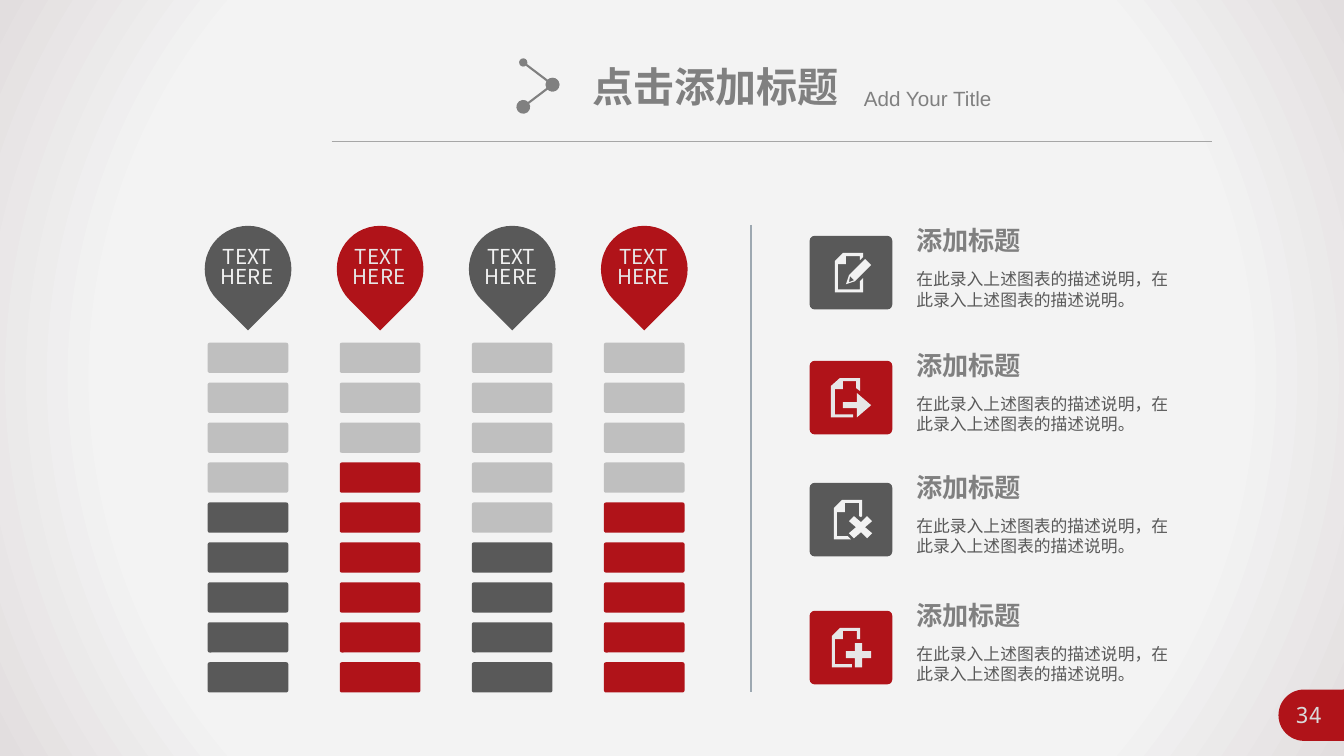
from lxml import etree
from pptx import Presentation
from pptx.dml.color import RGBColor
from pptx.enum.shapes import MSO_CONNECTOR, MSO_SHAPE as SHAPE
from pptx.enum.text import MSO_ANCHOR as ANCHOR, PP_ALIGN as ALIGN
from pptx.oxml import parse_xml
from pptx.oxml.ns import nsdecls, qn
from pptx.util import Inches, Pt

RED, DARK, GREY, PALE = "B01319", "595959", "808080", "BFBFBF"
CJK = "Noto Sans CJK SC"

# Icon outlines in hundredths of an inch from the tile corner
EDIT = [
    [(50, 53), (28, 53), (28, 28), (36, 28), (36, 20), (50, 20), (50, 24), (53, 21),
     (53, 17), (33, 17), (25, 25), (25, 56), (53, 56), (53, 42), (50, 45)],
    [(39, 39), (36, 48), (45, 45), (61, 29), (55, 23)],
]
NIB = [(44, 44), (39, 46), (40, 40)]
EXPORT = [
    [(25, 53), (25, 28), (33, 28), (33, 20), (46, 20), (46, 27), (50, 30), (50, 17),
     (30, 17), (21, 25), (21, 56), (43, 56), (43, 53)],
    [(47, 32), (47, 41), (33, 41), (33, 47), (47, 47), (47, 56), (61, 44)],
]
DELETE = [
    [(27, 53), (27, 29), (35, 29), (35, 20), (49, 20), (49, 33), (51, 34), (52, 33),
     (52, 17), (32, 17), (24, 25), (24, 56), (41, 56), (38, 53)],
    [(57, 55), (62, 50), (55, 44), (62, 38), (57, 33), (51, 39), (44, 33), (39, 38),
     (46, 44), (39, 50), (44, 55), (51, 49)],
]
ADD = [
    [(42, 53), (25, 53), (25, 28), (33, 28), (33, 20), (47, 20), (47, 28), (50, 28),
     (50, 17), (30, 17), (22, 25), (22, 56), (42, 56)],
    [(52, 32), (45, 32), (45, 40), (36, 40), (36, 47), (45, 47), (45, 56), (52, 56),
     (52, 47), (61, 47), (61, 40), (52, 40)],
]

COLUMNS = [(5, DARK, "F2F2F2"), (6, RED, "E7E7E7"), (4, DARK, "F2F2F2"), (5, RED, "E7E7E7")]
ITEMS = [
    (2.34, DARK, "F2F2F2", EDIT),
    (3.58, RED, "E7E7E7", EXPORT),
    (4.79, DARK, "F2F2F2", DELETE),
    (6.06, RED, "E7E7E7", ADD),
]


def rgb(color):
    return RGBColor.from_string(color)


def paint(shape, color):
    shape.shadow.inherit = False
    shape.fill.solid()
    shape.fill.fore_color.rgb = rgb(color)
    shape.line.fill.background()


def add_block(s, kind, x, y, w, h, color, adjust=(), rotation=0):
    block = s.shapes.add_shape(kind, Inches(x), Inches(y), Inches(w), Inches(h))
    for i, value in enumerate(adjust):
        block.adjustments[i] = value
    block.rotation = rotation
    paint(block, color)


def add_outline(s, x, y, color, contour, hole=()):
    builder = s.shapes.build_freeform(*contour[0], scale=Inches(0.01))
    builder.add_line_segments(contour[1:])
    if hole:
        builder.move_to(*hole[0])
        builder.add_line_segments(hole[1:])
    paint(builder.convert_to_shape(Inches(x), Inches(y)), color)


def add_line(s, x1, y1, x2, y2, color, width, ends=()):
    line = s.shapes.add_connector(
        MSO_CONNECTOR.STRAIGHT, Inches(x1), Inches(y1), Inches(x2), Inches(y2))
    line.line.color.rgb = rgb(color)
    line.line.width = Pt(width)
    ln = line.line._get_or_add_ln()
    for tag, size in zip(("a:headEnd", "a:tailEnd"), ends):
        etree.SubElement(ln, qn(tag), type="oval", w=size, len=size)
    etree.SubElement(line.element.spPr, qn("a:effectLst"))


def write(tf, text, size, color, font=CJK, bold=False, align=ALIGN.LEFT, wrap=True,
          spacing=None):
    tf.word_wrap = wrap
    tf.vertical_anchor = ANCHOR.TOP
    p = tf.paragraphs[0]
    p.text = text
    p.alignment = align
    p.line_spacing = spacing
    p.font.name = font
    p.font.size = Pt(size)
    p.font.bold = bold
    p.font.color.rgb = rgb(color)
    latin = p.font._element.find(qn("a:latin"))
    latin.addnext(parse_xml(f'<a:ea {nsdecls("a")} typeface="{font}"/>'))


def add_text(s, x, y, w, h, text, size, color, **style):
    box = s.shapes.add_textbox(Inches(x), Inches(y), Inches(w), Inches(h))
    write(box.text_frame, text, size, color, **style)


def set_background(s):
    s.background.fill.solid()
    solid = s.element.find(f'.//{qn("p:bgPr")}/{qn("a:solidFill")}')
    stops = "".join(
        f'<a:gs pos="{pos}000"><a:srgbClr val="{color}"/></a:gs>'
        for pos, color in ((0, "F5F5F5"), (73, "F3F3F3"), (100, "E2DEDF")))
    solid.getparent().replace(solid, parse_xml(
        f'<a:gradFill {nsdecls("a")}><a:gsLst>{stops}</a:gsLst><a:path path="circle">'
        '<a:fillToRect l="50000" t="50000" r="50000" b="50000"/></a:path></a:gradFill>'))


def add_header(s):
    title = s.shapes.title
    title.left, title.top = Inches(5.78), Inches(0.56)
    title.width, title.height = Inches(2.67), Inches(0.59)
    write(title.text_frame, "点击添加标题", 29.3, GREY, font="Arial", bold=True, wrap=False)
    add_text(s, 8.47, 0.8, 2.52, 0.35, "Add Your Title", 14.7, GREY, font="Arial")
    add_line(s, 3.29, 1.4, 12.02, 1.4, "A6A6A6", 0.5)
    add_line(s, 5.19, 0.62, 5.48, 0.84, GREY, 1.5, ends=("med", "lg"))
    add_line(s, 5.48, 0.84, 5.19, 1.06, GREY, 1.5, ends=("lg", "lg"))


def add_column(s, x, filled, color, text_color, bars=9):
    add_block(s, SHAPE.TEAR, x, 2.24, 0.86, 0.86, color, rotation=135)
    add_text(s, x + 0.01, 2.41, 0.82, 0.59, "TEXT HERE", 14.7, text_color,
             align=ALIGN.CENTER, spacing=0.82)
    step = (6.57 - 3.4) / (bars - 1)
    for i in range(bars):
        add_block(s, SHAPE.ROUNDED_RECTANGLE, x + 0.03, 3.4 + i * step, 0.8, 0.3,
                  color if i >= bars - filled else PALE, adjust=(0.067,))


def add_item(s, y, color, icon_color, icon):
    x = 8.03
    add_block(s, SHAPE.ROUNDED_RECTANGLE, x, y, 0.82, 0.73, color, adjust=(0.067,))
    page, badge = icon
    add_outline(s, x, y, icon_color, page)
    add_outline(s, x, y, icon_color, badge, hole=NIB if icon is EDIT else ())
    add_text(s, 8.99, y - 0.12, 1.25, 0.42, "添加标题", 18.7, GREY, bold=True, wrap=False,
             spacing=0.85)
    add_text(s, 8.99, y + 0.28, 2.82, 0.59,
             "在此录入上述图表的描述说明，在此录入上述图表的描述说明。", 12, DARK)


def main():
    prs = Presentation()
    prs.slide_width, prs.slide_height = Inches(13.33), Inches(7.5)
    s = prs.slides.add_slide(prs.slide_layouts[5])
    set_background(s)
    add_header(s)

    # Page number tab, running off the right edge
    add_block(s, SHAPE.ROUND_2_SAME_RECTANGLE, 12.83, 6.69, 0.51, 0.81, RED,
              adjust=(0.5, 0), rotation=270)
    add_text(s, 12.65, 6.91, 0.66, 0.37, "34", 16, "D9D9D9", font="Noto Sans Mono",
             align=ALIGN.CENTER)

    # Level columns, divider and descriptions
    for i, column in enumerate(COLUMNS):
        add_column(s, 2.03 + 1.31 * i, *column)
    add_line(s, 7.45, 2.23, 7.45, 6.87, "9DA8B1", 1)
    for item in ITEMS:
        add_item(s, *item)

    prs.save("out.pptx")


if __name__ == "__main__":
    main()
